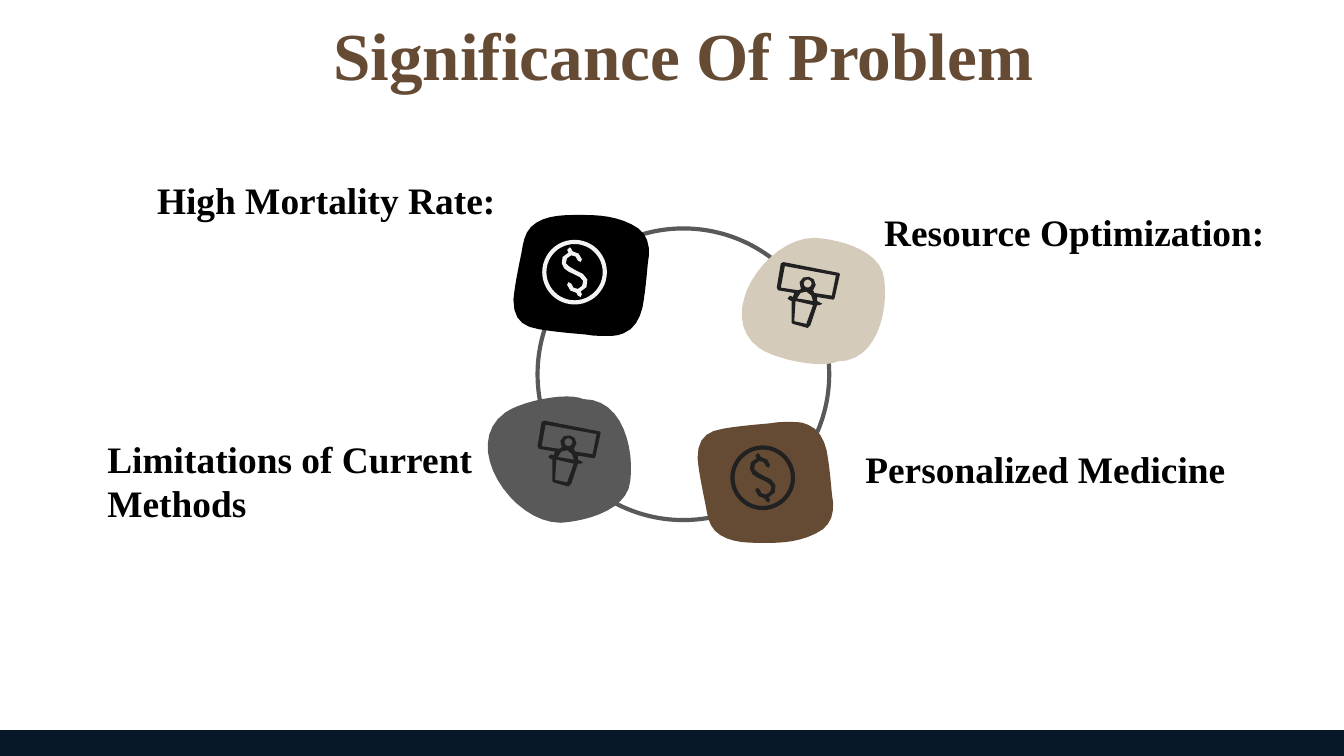
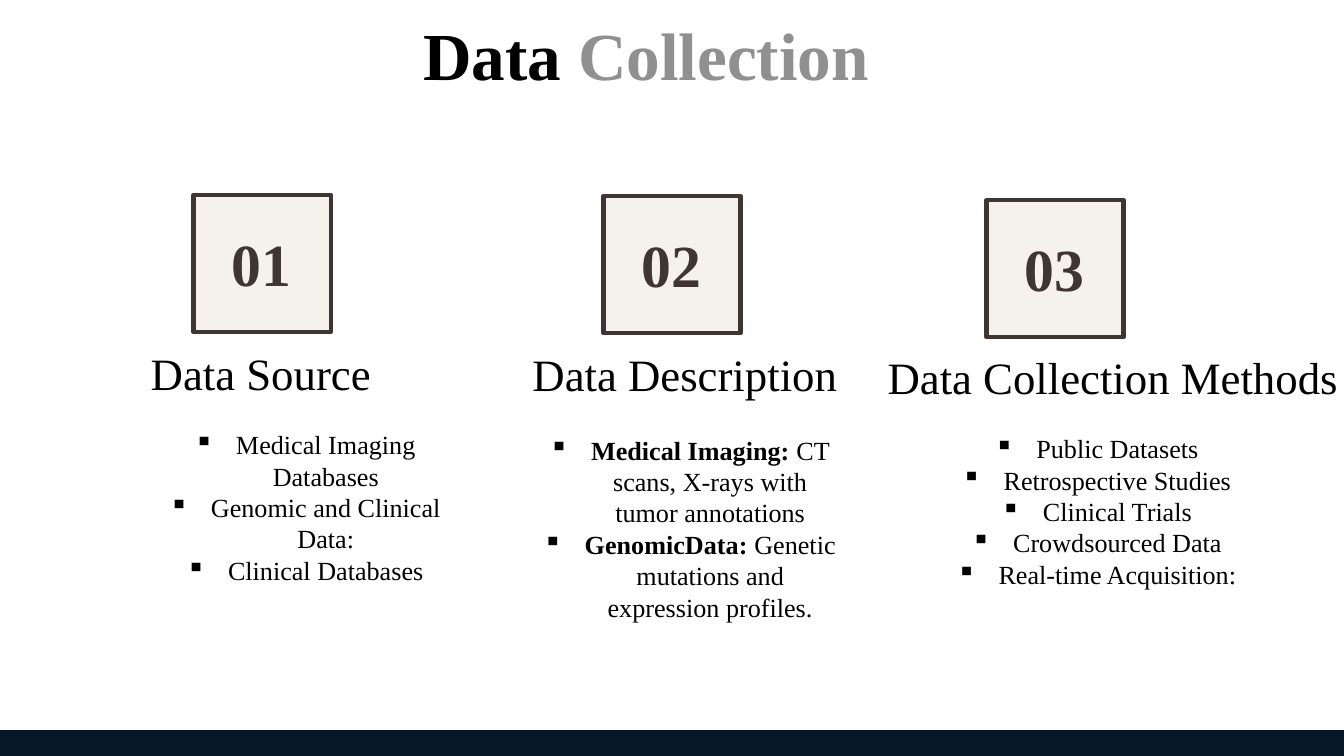
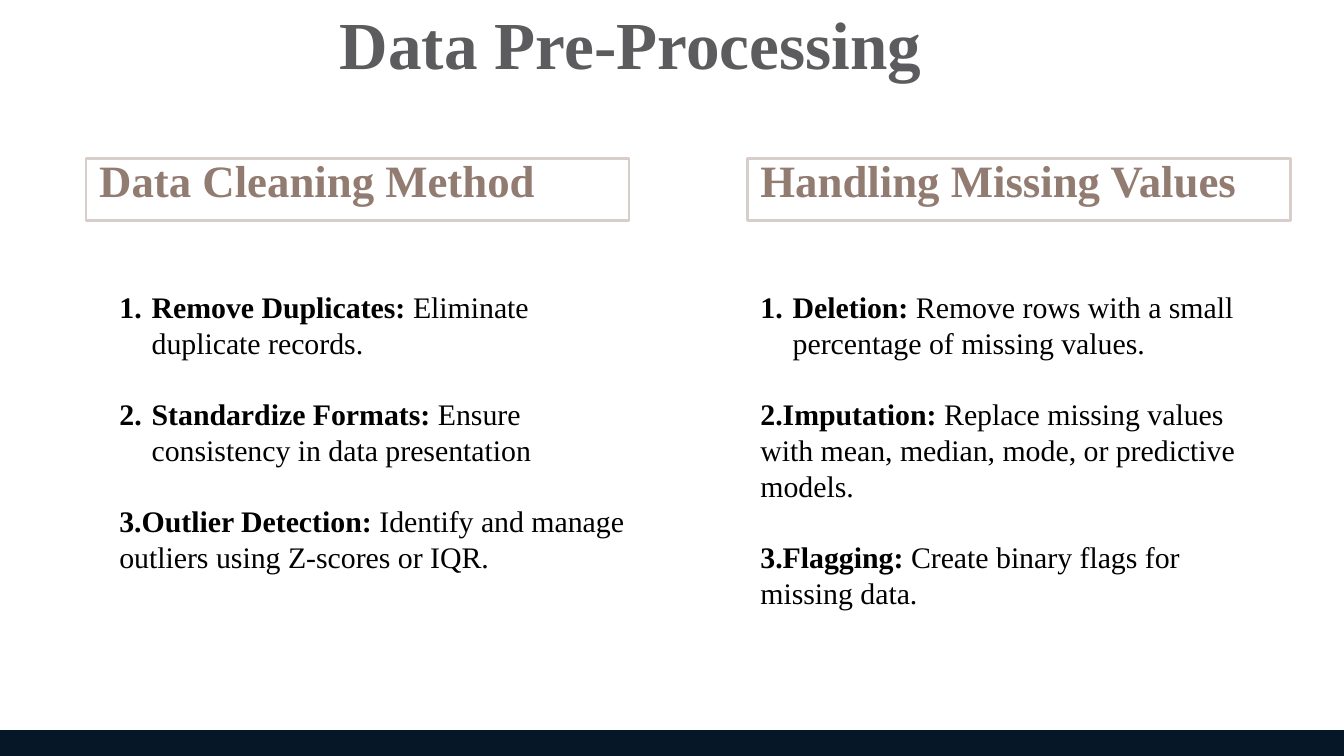
from math import ceil, cos, hypot, pi, sin

from lxml import etree
from pptx import Presentation
from pptx.dml.color import RGBColor
from pptx.enum.shapes import MSO_SHAPE
from pptx.enum.text import MSO_ANCHOR, PP_ALIGN
from pptx.oxml.ns import qn
from pptx.util import Pt

RECTANGLE, OVAL = MSO_SHAPE.RECTANGLE, MSO_SHAPE.OVAL
TOP, MIDDLE, BOTTOM = MSO_ANCHOR.TOP, MSO_ANCHOR.MIDDLE, MSO_ANCHOR.BOTTOM
LEFT, CENTER = PP_ALIGN.LEFT, PP_ALIGN.CENTER

EMU_PER_PX = 9144
FONT = "Times New Roman"
BLACK, NAVY, BROWN, GREY, BEIGE = "000000", "061727", "664B34", "595959", "D4CBBB"
INK, PALE, TAUPE, CREAM = "212121", "F3F3F3", "3F3533", "F5F2EE"

SQUARE_BLOB = [
    (435, 160), (431, 160), (419, 160, 404, 160, 395, 169),
    (389, 175, 389, 185, 387, 193), (385, 203, 383, 213, 382, 223),
    (382, 237, 388, 243, 401, 245), (413, 247, 425, 248, 436, 249),
    (441, 250, 446, 250, 451, 250), (456, 250, 460, 250, 464, 248),
    (472, 245, 476, 237, 478, 229), (480, 218, 481, 207, 482, 196),
    (484, 186, 483, 176, 475, 170), (463, 162, 449, 160, 435, 160),
]
ROUND_BLOB = [
    (422, 295), (428, 295, 432, 296, 434, 297), (464, 297, 472, 335, 469, 358),
    (467, 380, 435, 388, 417, 389), (381, 389, 342, 331, 376, 307),
    (386, 300, 408, 295, 422, 295),
]
DOLLAR = [
    (424, 184), (422, 186), (423, 188), (419, 189, 417, 193, 418, 196),
    (419, 201, 423, 202, 427, 204), (430, 205, 433, 207, 434, 209),
    (434, 212, 433, 214, 430, 215), (428, 215, 425, 214, 425, 211), (423, 210),
    (422, 212), (422, 215, 426, 218, 429, 218), (430, 220), (432, 221),
    (433, 219), (432, 217), (436, 216, 438, 212, 437, 208),
    (436, 204, 432, 203, 428, 201), (425, 199, 422, 198, 421, 196),
    (421, 193, 422, 191, 425, 190), (427, 190, 430, 191, 430, 194),
    (432, 195), (433, 193), (433, 190, 429, 187, 426, 187), (425, 185),
]
SCREEN = [
    (622, 205), (619, 220), (606, 218), (605, 216),
    (606, 215, 607, 214, 607, 212), (607, 209, 605, 206, 602, 206),
    (599, 205, 596, 207, 595, 210), (595, 212, 596, 213, 596, 215),
    (594, 216), (581, 214), (584, 198),
]
SHOULDERS = [
    (600, 217), (603, 218, 605, 221, 605, 224), (593, 222), (594, 219, 597, 216, 600, 217),
]
LECTERN = [(605, 227), (600, 241), (591, 239), (592, 224)]
PRESENTER_OUTLINE = [
    (583, 195), (581, 196), (578, 214), (579, 216), (591, 218), (590, 221),
    (588, 220), (586, 222), (587, 223), (589, 224), (589, 240), (590, 241),
    (601, 244), (603, 242), (608, 227), (610, 227), (612, 226), (610, 225),
    (608, 224), (608, 221), (620, 223), (621, 222), (625, 204), (624, 203),
]


def px(length):
    return round(length * EMU_PER_PX)


def rgb(color):
    return RGBColor.from_string(color)


def trace(segments, spacing=6):
    points = [segments[0]]
    for segment in segments[1:]:
        if len(segment) == 2:
            points.append(segment)
            continue
        x0, y0 = points[-1]
        x1, y1, x2, y2, x3, y3 = segment
        steps = ceil(hypot(x3 - x0, y3 - y0) / spacing)
        for step in range(1, steps + 1):
            t = step / steps
            a, b, c, d = (1 - t) ** 3, 3 * t * (1 - t) ** 2, 3 * t * t * (1 - t), t ** 3
            points.append((a * x0 + b * x1 + c * x2 + d * x3,
                           a * y0 + b * y1 + c * y2 + d * y3))
    return points


def circle(x, y, radius, steps=10):
    angles = [2 * pi * step / steps for step in range(steps)]
    return [(x + radius * cos(angle), y + radius * sin(angle)) for angle in angles]


def move(points, dx, dy):
    return [(x + dx, y + dy) for x, y in points]


def flip(points, dx, mirror):
    return [(x + dx, mirror - y) for x, y in points]


def add_outline(page, contours, color):
    scaled = [[(px(x), px(y)) for x, y in contour] for contour in contours]
    builder = page.shapes.build_freeform(*scaled[0][0], scale=1.0)
    builder.add_line_segments(scaled[0][1:], close=True)
    for contour in scaled[1:]:
        builder.move_to(*contour[0])
        builder.add_line_segments(contour[1:], close=True)
    paint(builder.convert_to_shape(), color)


def paint(shape, fill=None, line=None, width=0.75):
    shape.shadow.inherit = False
    if fill:
        shape.fill.solid()
        shape.fill.fore_color.rgb = rgb(fill)
    else:
        shape.fill.background()
    if line:
        shape.line.color.rgb = rgb(line)
        shape.line.width = Pt(width)
    else:
        shape.line.fill.background()


def add_box(page, kind, place, fill=None, line=None, width=0.75):
    box = page.shapes.add_shape(kind, *map(px, place))
    paint(box, fill, line, width)
    return box


def set_bullet(para, hang, mark):
    properties = para._p.get_or_add_pPr()
    properties.set("marL", str(px(hang)))
    properties.set("indent", str(-px(hang)))
    bullet_color = etree.SubElement(properties, qn("a:buClr"))
    etree.SubElement(bullet_color, qn("a:srgbClr"), val=BLACK)
    if mark:
        etree.SubElement(properties, qn("a:buChar"), char=mark)
    else:
        etree.SubElement(properties, qn("a:buAutoNum"), type="arabicPeriod")


def style(para, size, color, bold, align):
    para.alignment = align
    para.font.name = FONT
    para.font.size = Pt(size)
    para.font.color.rgb = rgb(color)
    para.font.bold = bold


def prepare(box, anchor):
    frame = box.text_frame
    frame.word_wrap = True
    frame.vertical_anchor = anchor
    frame.margin_left = frame.margin_right = px(10)
    frame.margin_top = frame.margin_bottom = px(10)
    return frame


def write(box, text, size, color=BLACK, bold=False, align=LEFT, anchor=TOP):
    para = prepare(box, anchor).paragraphs[0]
    style(para, size, color, bold, align)
    para.add_run().text = text
    return para


def add_text(page, place, text, size, **look):
    return write(page.shapes.add_textbox(*map(px, place)), text, size, **look)


def add_items(page, place, items, size, hang, mark=None, align=LEFT, gap=0):
    frame = prepare(page.shapes.add_textbox(*map(px, place)), TOP)
    for index, (lead, rest, hanging) in enumerate(items):
        para = frame.add_paragraph() if index else frame.paragraphs[0]
        if hanging:
            set_bullet(para, hang, mark)
        style(para, size, BLACK, False, align)
        if index:
            para.space_before = Pt(gap)
        if lead:
            span = para.add_run()
            span.text = lead
            span.font.bold = True
        para.add_run().text = rest


def add_title(page, place, text, color, **look):
    return add_text(page, place, text, 36, color=color, bold=True, **look)


def add_page(deck):
    page = deck.slides.add_slide(deck.slide_layouts[6])
    add_box(page, RECTANGLE, (0, 544, 1000, 18), NAVY, NAVY)
    return page


def add_dollar(page, dx, dy, color):
    add_outline(page, [move(trace(DOLLAR), dx, dy)], color)
    add_box(page, OVAL, (405 + dx, 180 + dy, 45, 45), line=color, width=2.25)


def add_presenter(page, dx, dy):
    parts = [trace(part) for part in (SCREEN, SHOULDERS, LECTERN, PRESENTER_OUTLINE)]
    contours = [circle(601, 211, 3)] + parts
    add_outline(page, [move(contour, dx, dy) for contour in contours], INK)


def build_significance(deck):
    page = add_page(deck)
    add_title(page, (87, 4, 843, 72), "Significance Of Problem", BROWN,
              align=CENTER, anchor=MIDDLE)
    add_box(page, OVAL, (400, 170, 217, 217), line=GREY, width=2.25)
    square, rounded = trace(SQUARE_BLOB), trace(ROUND_BLOB)
    add_outline(page, [square], BLACK)
    add_outline(page, [flip(rounded, 189, 566)], BEIGE)
    add_outline(page, [rounded], GREY)
    add_outline(page, [flip(square, 137, 564)], BROWN)
    add_dollar(page, 140, 153, INK)
    add_dollar(page, 0, 0, PALE)
    add_presenter(page, 0, 0)
    add_presenter(page, -178, 118)
    for place, label in (
        ((107, 99, 309, 76), "High Mortality Rate:"),
        ((648, 123, 309, 76), "Resource Optimization:"),
        ((634, 307, 386, 68), "Personalized Medicine"),
        ((70, 325, 309, 76), "Limitations of Current Methods"),
    ):
        add_text(page, place, label, 20, bold=True, anchor=BOTTOM)


def build_collection(deck):
    page = add_page(deck)
    title = add_title(page, (305, 0, 633, 63), "Data ", BLACK)
    span = title.add_run()
    span.text = "Collection"
    span.font.color.rgb = rgb("909090")
    columns = (
        ("01", 144, 145, "Data Source", (84, 247, 220, 54), (105, 309, 244, 217), [
            ("", "Medical Imaging Databases", True),
            ("", "Genomic and Clinical Data:", True),
            ("", "Clinical Databases", True)]),
        ("02", 449, 146, "Data Description", (385, 248, 249, 54), (391, 313, 244, 213), [
            ("Medical Imaging:", " CT scans, X-rays with tumor annotations", True),
            ("GenomicData:", " Genetic mutations and expression profiles.", True)]),
        ("03", 734, 149, "Data Collection Methods", (645, 250, 366, 82), (694, 312, 244, 217), [
            ("", "Public Datasets", True),
            ("", "Retrospective Studies", True),
            ("", "Clinical Trials", True),
            ("", "Crowdsourced Data", True),
            ("", "Real-time Acquisition:", True)]),
    )
    for number, left, top, heading, heading_place, list_place, items in columns:
        add_box(page, RECTANGLE, (left, top, 102, 102), CREAM, TAUPE, 2.25)
        add_text(page, (left - 5, top + 14, 111, 73), number, 32, color=TAUPE,
                 bold=True, align=CENTER, anchor=MIDDLE)
        add_text(page, heading_place, heading, 24, align=CENTER)
        add_items(page, list_place, items, 14, 31, "▪", CENTER)


def build_processing(deck):
    page = add_page(deck)
    add_title(page, (243, -8, 843, 63), "Data Pre-Processing", "5C5C5F")
    for heading, left, list_left, items in (
        ("Data Cleaning Method", 64, 79, [
            ("Remove Duplicates:", " Eliminate duplicate records.", True),
            ("Standardize Formats:", " Ensure consistency in data presentation", True),
            ("3.Outlier Detection:", " Identify and manage outliers using Z-scores or IQR.", False)]),
        ("Handling Missing Values", 556, 556, [
            ("Deletion:", " Remove rows with a small percentage of missing values.", True),
            ("2.Imputation:", " Replace missing values with mean, median, mode, "
                              "or predictive models.", False),
            ("3.Flagging:", " Create binary flags for missing data.", False)]),
    ):
        box = add_box(page, RECTANGLE, (left, 118, 404, 46), line="D8CEC9", width=1.5)
        write(box, heading, 24, color="927C71", bold=True, anchor=BOTTOM)
        add_items(page, (list_left, 205, 404, 299), items, 16, 24, gap=19)


def main():
    deck = Presentation()
    deck.slide_width = px(1000)
    deck.slide_height = px(1000) * 9 // 16
    build_significance(deck)
    build_collection(deck)
    build_processing(deck)
    deck.save("out.pptx")


if __name__ == "__main__":
    main()
